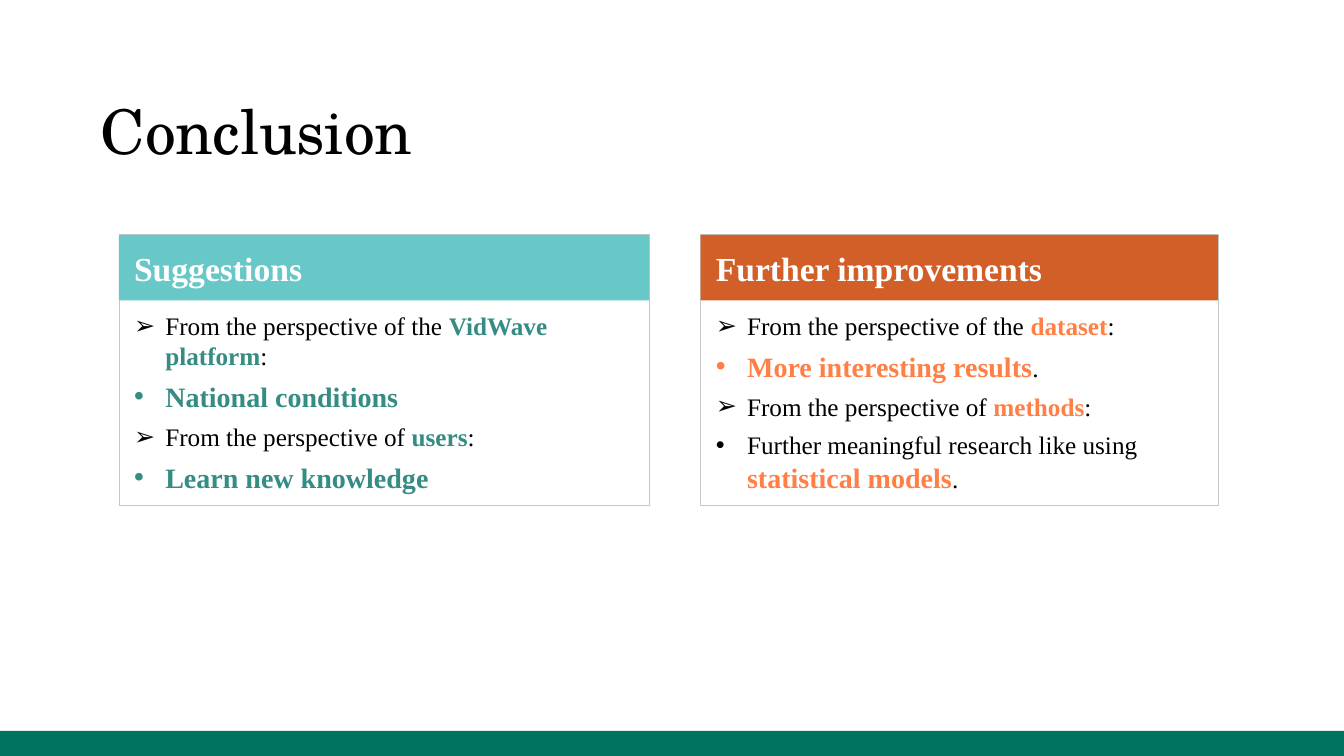
from lxml import etree
from pptx import Presentation
from pptx import util as u
from pptx.dml.color import RGBColor
from pptx.enum import shapes, text
from pptx.oxml.ns import qn

COLORS = {
    "footer": "007360", "border": "C4C7C7", "white": "FFFFFF", "black": "000000",
    "teal": "67C8C7", "teal_text": "348C83", "rust": "D15F27", "orange_text": "FF7F45",
}

deck = Presentation()
deck.slide_width, deck.slide_height = u.Inches(13.33), u.Inches(7.5)
slide = deck.slides.add_slide(deck.slide_layouts[6])


def add_box(left, top, width, height, fill=None, line=None, paragraphs=(),
            anchor=text.MSO_ANCHOR.MIDDLE, insets=(0, 0, 0, 0), after=0,
            font="Times New Roman", spacing=None):
    place = [u.Inches(n) for n in (left, top, width, height)]
    if fill:
        box = slide.shapes.add_shape(shapes.MSO_SHAPE.RECTANGLE, *place)
        box.shadow.inherit = False
        box.fill.solid()
        box.fill.fore_color.rgb = RGBColor.from_string(COLORS[fill])
        if line:
            box.line.color.rgb = RGBColor.from_string(COLORS[line])
            box.line.width = u.Pt(0.5)
        else:
            box.line.fill.background()
    else:
        box = slide.shapes.add_textbox(*place)
    frame = box.text_frame
    frame.word_wrap = True
    frame.vertical_anchor = anchor
    frame.margin_left, frame.margin_top, frame.margin_right, frame.margin_bottom = [
        u.Inches(n) for n in insets]
    for index, (bullet, runs) in enumerate(paragraphs):
        paragraph = frame.paragraphs[0] if index == 0 else frame.add_paragraph()
        paragraph.alignment = text.PP_ALIGN.LEFT
        paragraph.space_after = u.Pt(after)
        if bullet:
            props = paragraph._p.get_or_add_pPr()
            props.set("marL", str(u.Inches(0.31)))
            props.set("indent", str(-u.Inches(0.31)))
            etree.SubElement(props, qn("a:buFont"), typeface="Arial")
            etree.SubElement(props, qn("a:buChar"), char=bullet)
        for words, size, color, bold in runs:
            run = paragraph.add_run()
            run.text = words
            run.font.name = font
            run.font.size = u.Pt(size)
            run.font.bold = bold
            run.font.color.rgb = RGBColor.from_string(COLORS[color])
            if spacing:
                run.font._element.set("spc", str(spacing))


add_box(0, 7.25, 13.33, 0.25, fill="footer")
add_box(1, 0, 11.33, 1.66, paragraphs=[(None, [("Conclusion", 44, "black", False)])],
        anchor=text.MSO_ANCHOR.BOTTOM, after=12, font="TeX Gyre Schola", spacing=-20)

ARROW, DOT = "➢", "•"
cards = [
    (1.18, 5.26, "Suggestions", "teal", "teal_text", [
        (ARROW, "From the perspective of the ", "VidWave platform", 18, ":"),
        (DOT, "", "National conditions", 20, ""),
        (ARROW, "From the perspective of ", "users", 18, ":"),
        (DOT, "", "Learn new knowledge", 20, ""),
    ]),
    (6.95, 5.13, "Further improvements", "rust", "orange_text", [
        (ARROW, "From the perspective of the ", "dataset", 18, ":"),
        (DOT, "", "More interesting results", 20, "."),
        (ARROW, "From the perspective of ", "methods", 18, ":"),
        (DOT, "Further meaningful research like using ", "statistical models", 20, "."),
    ]),
]

for left, width, heading, band, accent, points in cards:
    paragraphs = []
    for bullet, lead, key, key_size, ending in points:
        runs = [(lead, 18, "black", False), (key, key_size, accent, True),
                (ending, 18, "black", False)]
        paragraphs.append((bullet, [run for run in runs if run[0]]))
    add_box(left, 2.33, width, 2.68, fill="white", line="border", paragraphs=paragraphs,
            anchor=text.MSO_ANCHOR.TOP, insets=(0.15, 0.75, 0.1, 0.1), after=6)
    add_box(left, 2.33, width, 0.65, fill=band,
            paragraphs=[(None, [(heading, 24, "white", True)])], insets=(0.15, 0, 0.1, 0))

deck.save("out.pptx")
